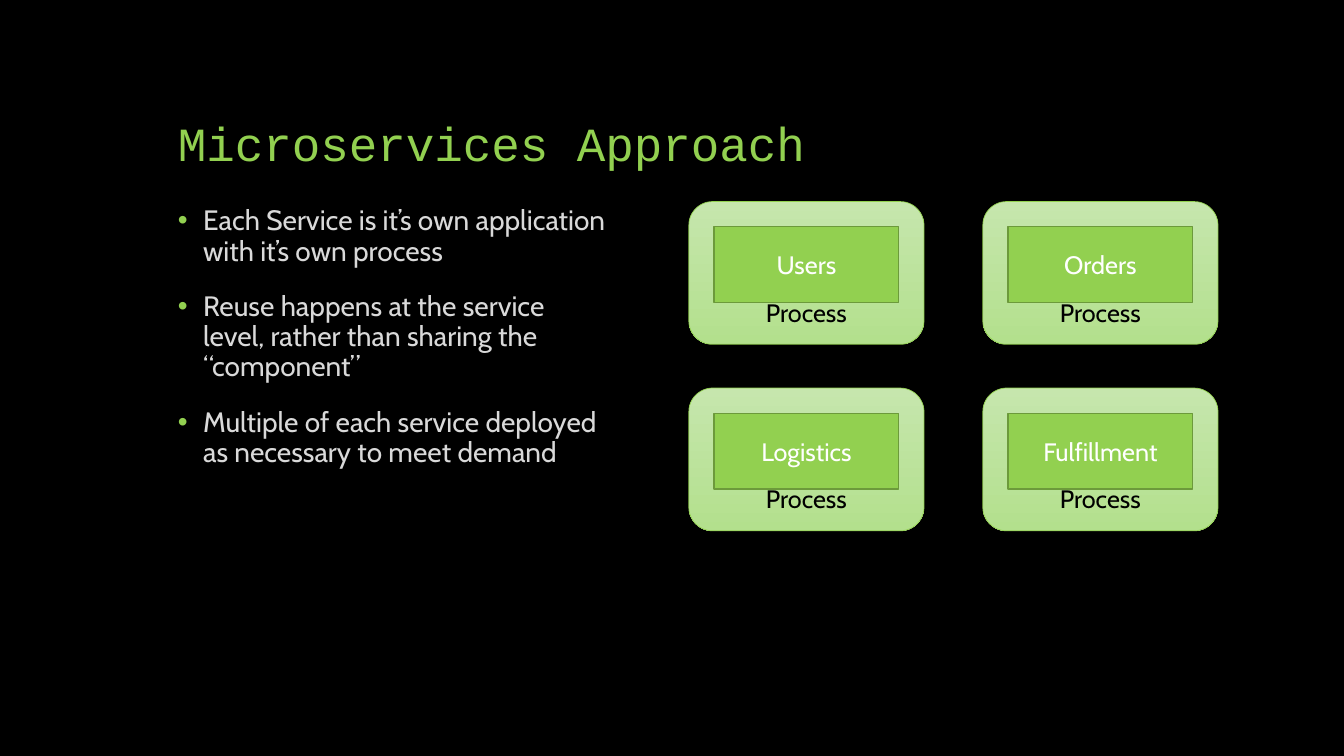
from dataclasses import dataclass
from lxml.etree import SubElement
from pptx import Presentation
from pptx.dml.color import RGBColor
from pptx.enum.shapes import MSO_SHAPE as Form
from pptx.enum.text import MSO_ANCHOR as Anchor, PP_ALIGN as Align
from pptx.oxml.ns import qn
from pptx.util import Pt


@dataclass(frozen=True)
class Theme:
    back: str = "000000"
    green: str = "92D050"
    edge: str = "6C9A3B"
    pale: tuple = ("C6E6AD", "B3E08D")
    gray: str = "D9D9D9"
    dark: str = "000000"
    light: str = "FFFFFF"
    mono: str = "Courier New"
    sans: str = "Cabin"
    head: int = 34
    body: int = 20
    label: int = 18


def rgb(code):
    return RGBColor.from_string(code)


class Deck:
    def __init__(self, theme):
        self.theme = theme
        self.file = Presentation()
        self.file.slide_width, self.file.slide_height = Pt(960), Pt(540)
        self.slide = self.file.slides.add_slide(self.file.slide_layouts[6])
        fill = self.slide.background.fill
        fill.solid()
        fill.fore_color.rgb = rgb(theme.back)

    def style(self, para, name, size, color):
        font = para.font
        font.name, font.size = name, Pt(size)
        font.color.rgb = rgb(color)

    def frame(self, x, y, w, h, anchor):
        box = self.slide.shapes.add_textbox(Pt(x), Pt(y), Pt(w), Pt(h))
        frame = box.text_frame
        frame.word_wrap = True
        frame.vertical_anchor = anchor
        return frame

    def title(self, text, *area):
        para = self.frame(*area, Anchor.BOTTOM).paragraphs[0]
        para.text = text
        para.line_spacing = 0.9
        self.style(para, self.theme.mono, self.theme.head, self.theme.green)

    def bullet(self, para):
        """Add a green dot and a hanging indent."""
        props = para._p.get_or_add_pPr()
        props.set("marL", str(Pt(18)))
        props.set("indent", str(-Pt(18)))
        tint = SubElement(props, qn("a:buClr"))
        SubElement(tint, qn("a:srgbClr"), val=self.theme.green)
        SubElement(props, qn("a:buFont"), typeface="Arial")
        SubElement(props, qn("a:buChar"), char="•")

    def points(self, items, *area):
        frame = self.frame(*area, Anchor.TOP)
        for i, item in enumerate(items):
            para = frame.add_paragraph() if i else frame.paragraphs[0]
            para.text = item
            para.line_spacing = 0.9
            para.space_before = Pt(18)
            self.bullet(para)
            self.style(para, self.theme.sans, self.theme.body, self.theme.gray)

    def block(self, form, text, color, anchor, line, width, *area):
        shape = self.slide.shapes.add_shape(form, *map(Pt, area))
        shape.shadow.inherit = False
        shape.line.color.rgb = rgb(line)
        shape.line.width = Pt(width)
        frame = shape.text_frame
        frame.word_wrap = True
        frame.vertical_anchor = anchor
        para = frame.paragraphs[0]
        para.text = text
        para.alignment = Align.CENTER
        self.style(para, self.theme.sans, self.theme.label, color)
        return shape

    def service(self, name, x, y):
        """Draw a process card with its service inside."""
        look = self.theme
        card = self.block(Form.ROUNDED_RECTANGLE, "Process", look.dark,
                          Anchor.BOTTOM, look.green, 0.5, x, y, 168, 102)
        card.text_frame.margin_bottom = Pt(7.3)
        card.fill.gradient()
        card.fill.gradient_angle = 270
        for stop, code in zip(card.fill.gradient_stops, look.pale):
            stop.color.rgb = rgb(code)
        core = self.block(Form.RECTANGLE, name, look.light, Anchor.MIDDLE,
                          look.edge, 1, x + 18, y + 18, 132, 54)
        core.fill.solid()
        core.fill.fore_color.rgb = rgb(look.green)


def main():
    deck = Deck(Theme())
    deck.title("Microservices Approach", 120, 36, 720, 90)
    deck.points([
        "Each Service is it’s own application\vwith it’s own process",
        "Reuse happens at the service\vlevel, rather than sharing the\v“component”",
        "Multiple of each service deployed\vas necessary to meet demand",
    ], 120, 144, 720, 336)
    for i, name in enumerate(["Users", "Orders", "Logistics", "Fulfillment"]):
        row, col = divmod(i, 2)
        deck.service(name, 492 + 210 * col, 144 + 133.2 * row)
    deck.file.save("out.pptx")


if __name__ == "__main__":
    main()
